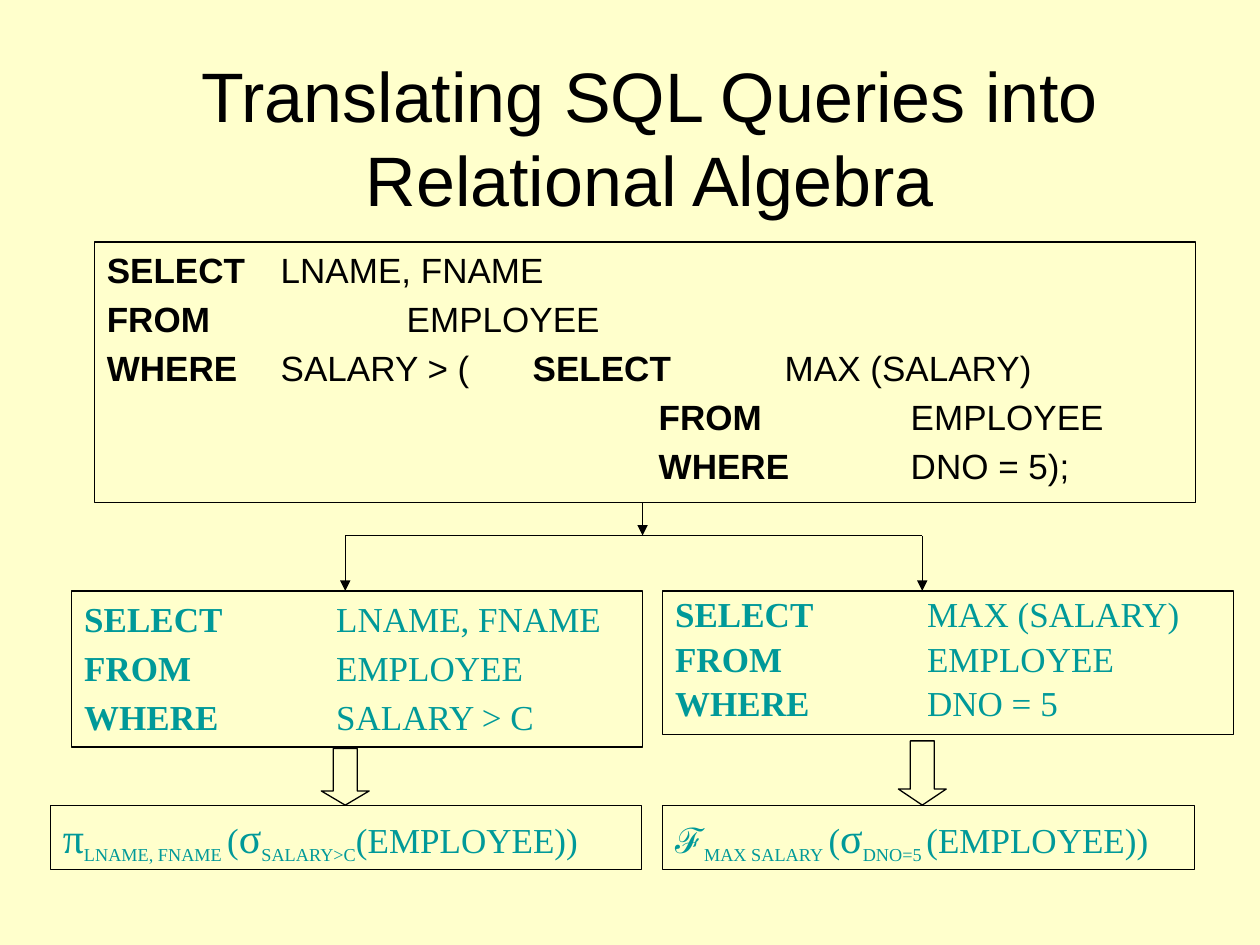
import pptx
import pptx.dml.color
import pptx.enum.shapes
import pptx.enum.text
import pptx.oxml.ns
import pptx.util
from lxml import etree

Inches, Pt = pptx.util.Inches, pptx.util.Pt
RGBColor = pptx.dml.color.RGBColor
SHAPES = pptx.enum.shapes.MSO_SHAPE
ANCHOR = pptx.enum.text.MSO_ANCHOR
ALIGN = pptx.enum.text.PP_ALIGN

CREAM = RGBColor(0xFF, 0xFF, 0xCC)
BLACK = RGBColor(0, 0, 0)
TEAL = RGBColor(0, 0x99, 0x99)
SANS, SERIF = "Arial", "Times New Roman"

TITLE = "Translating SQL Queries into Relational Algebra"

# A query line is a list of (text, bold) runs.
NESTED_QUERY = [
    [("SELECT", True), (" \tLNAME, FNAME", False)],
    [("FROM", True), (" \t\tEMPLOYEE", False)],
    [("WHERE", True), (" \tSALARY > (\t", False), ("SELECT", True), ("\tMAX (SALARY)", False)],
    [("\t\t\t\t\tFROM", True), ("\t\tEMPLOYEE", False)],
    [("\t\t\t\t\tWHERE", True), (" \tDNO = 5);", False)],
]
OUTER_QUERY = [
    [("SELECT", True), (" \tLNAME, FNAME", False)],
    [("FROM", True), (" \t\tEMPLOYEE", False)],
    [("WHERE", True), (" \tSALARY > C", False)],
]
INNER_QUERY = [
    [("SELECT", True), ("\tMAX (SALARY)", False)],
    [("FROM", True), ("\t\tEMPLOYEE", False)],
    [("WHERE", True), (" \tDNO = 5", False)],
]

# A formula run is (text, style); a style is (size, font, baseline shift).
STYLES = {
    "greek": (24, SERIF, 0),
    "script": (20, SANS, 0),
    "sub": (18, SERIF, -25000),
    "gap": (20, SERIF, -25000),
    "plain": (20, SERIF, 0),
}
OUTER_FORMULA = [("π", "greek"), ("LNAME, FNAME", "sub"), (" ", "gap"), ("(", "plain"),
                 ("σ", "greek"), ("SALARY>C", "sub"), ("(EMPLOYEE))", "plain")]
INNER_FORMULA = [("ℱ", "script"), ("MAX SALARY", "sub"), (" ", "gap"), ("(", "plain"),
                 ("σ", "greek"), ("DNO=5 ", "sub"), ("(EMPLOYEE))", "plain")]

# Shared edges and centre lines, in inches
TRUNK_X, OUTER_X, INNER_X = 5.1, 2.74, 7.32
NESTED_TOP, NESTED_BOTTOM, BRANCH_Y, QUERY_TOP, FORMULA_TOP = 1.92, 3.99, 4.25, 4.69, 6.39
RIGHT_COLUMN, QUERY_WIDTH, FORMULA_HEIGHT = 5.26, 4.53, 0.51
ARROW_WIDTH = 0.38
TAB_STEP = 1


def add_outline(slide, kind, left, top, width, height):
    """Add an unfilled shape with a thin black outline."""
    shape = slide.shapes.add_shape(kind, Inches(left), Inches(top), Inches(width), Inches(height))
    shape.shadow.inherit = False
    shape.fill.background()
    shape.line.color.rgb = BLACK
    shape.line.width = Pt(0.75)
    return shape


def add_box(slide, *place):
    """Add an outlined rectangle for left-aligned text and return its frame."""
    frame = add_outline(slide, SHAPES.RECTANGLE, *place).text_frame
    frame.word_wrap = True
    frame.vertical_anchor = ANCHOR.TOP
    return frame


def add_query(slide, lines, place, font, color, line_spacing=1.0, hanging=0):
    """Add a boxed query, one paragraph to a line."""
    frame = add_box(slide, *place)
    for index, runs in enumerate(lines):
        paragraph = frame.add_paragraph() if index else frame.paragraphs[0]
        paragraph.alignment = ALIGN.LEFT
        paragraph.line_spacing = line_spacing
        paragraph.space_before = Pt(4 if index else 1.5)
        paragraph.font.name = font
        paragraph.font.size = Pt(20)
        paragraph.font.color.rgb = color
        properties = paragraph._p.get_or_add_pPr()
        properties.set("defTabSz", str(Inches(TAB_STEP)))
        if hanging:
            properties.set("marL", str(Inches(hanging)))
            properties.set("indent", str(-Inches(hanging)))
        for text, bold in runs:
            run = paragraph.add_run()
            run.text = text
            run.font.bold = bold


def add_formula(slide, runs, left, width):
    """Add a boxed algebra expression with subscripts."""
    paragraph = add_box(slide, left, FORMULA_TOP, width, FORMULA_HEIGHT).paragraphs[0]
    paragraph.alignment = ALIGN.LEFT
    paragraph.space_before = Pt(2)
    paragraph.font.color.rgb = TEAL
    for text, style in runs:
        size, font, baseline = STYLES[style]
        run = paragraph.add_run()
        run.text = text
        run.font.size = Pt(size)
        run.font.name = font
        if baseline:
            run._r.get_or_add_rPr().set("baseline", str(baseline))


def add_line(slide, start, end, arrow=True):
    """Add a straight line, with an arrowhead at its end if asked."""
    points = [Inches(value) for value in (*start, *end)]
    line = slide.shapes.add_connector(pptx.enum.shapes.MSO_CONNECTOR.STRAIGHT, *points)
    line.line.color.rgb = BLACK
    line.line.width = Pt(0.75)
    if arrow:
        etree.SubElement(line.line._get_or_add_ln(), pptx.oxml.ns.qn("a:tailEnd"), type="triangle")
    etree.SubElement(line._element.spPr, pptx.oxml.ns.qn("a:effectLst"))


def add_block_arrow(slide, center, top):
    """Add a down arrow that ends at the formula row."""
    height = FORMULA_TOP - top
    arrow = add_outline(slide, SHAPES.DOWN_ARROW, center - ARROW_WIDTH / 2, top, ARROW_WIDTH, height)
    arrow.adjustments[0] = 0.5
    arrow.adjustments[1] = height / ARROW_WIDTH / 4


def add_title(slide):
    """Place and format the title."""
    title = slide.shapes.title
    title.left, title.top, title.width, title.height = map(Inches, (1.06, 0.46, 8.19, 1.25))
    title.text = TITLE
    title.text_frame.vertical_anchor = ANCHOR.MIDDLE
    title.text_frame.auto_size = pptx.enum.text.MSO_AUTO_SIZE.NONE
    paragraph = title.text_frame.paragraphs[0]
    paragraph.alignment = ALIGN.CENTER
    paragraph.line_spacing = Pt(48)
    paragraph.font.name = SANS
    paragraph.font.size = Pt(40)
    paragraph.font.color.rgb = BLACK


presentation = pptx.Presentation()
presentation.slide_width, presentation.slide_height = Inches(10), Inches(7.5)
slide = presentation.slides.add_slide(presentation.slide_layouts[5])
slide.background.fill.solid()
slide.background.fill.fore_color.rgb = CREAM

add_title(slide)
add_query(slide, NESTED_QUERY, (0.75, NESTED_TOP, 8.74, NESTED_BOTTOM - NESTED_TOP),
          SANS, BLACK, hanging=0.38)
add_query(slide, INNER_QUERY, (RIGHT_COLUMN, QUERY_TOP, QUERY_WIDTH, 1.14), SERIF, TEAL, 0.9)
add_query(slide, OUTER_QUERY, (0.57, QUERY_TOP, QUERY_WIDTH, 1.24), SERIF, TEAL)

add_line(slide, (TRUNK_X, NESTED_BOTTOM), (TRUNK_X, BRANCH_Y))
add_line(slide, (OUTER_X, BRANCH_Y), (INNER_X, BRANCH_Y), arrow=False)
for branch_x in (OUTER_X, INNER_X):
    add_line(slide, (branch_x, BRANCH_Y), (branch_x, QUERY_TOP))

add_formula(slide, OUTER_FORMULA, 0.4, 4.69)
add_formula(slide, INNER_FORMULA, RIGHT_COLUMN, 4.22)
add_block_arrow(slide, OUTER_X, 5.94)
add_block_arrow(slide, INNER_X, 5.88)

presentation.save("out.pptx")
